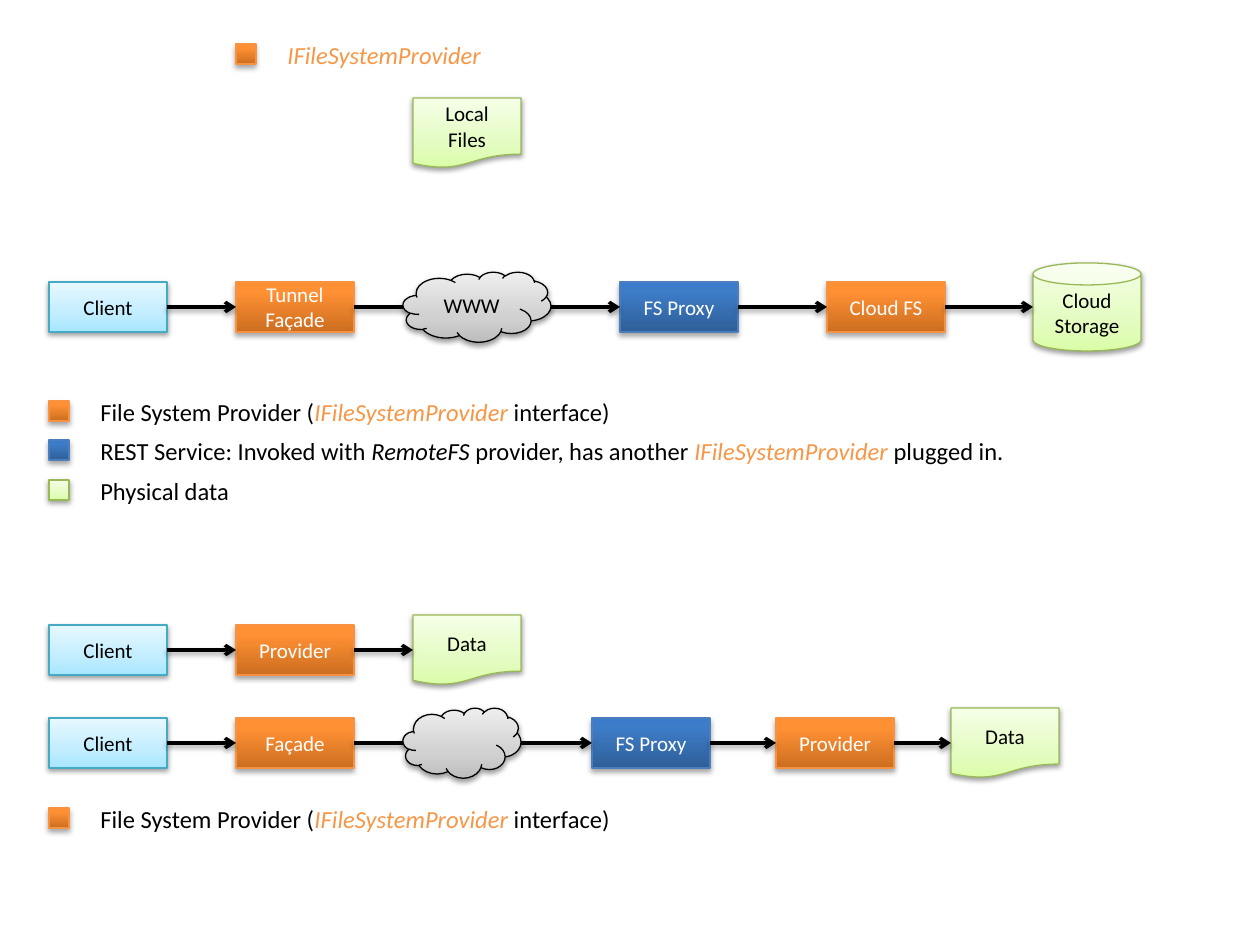
from dataclasses import dataclass
from itertools import pairwise

from lxml.etree import SubElement
from pptx import Presentation
from pptx.dml.color import RGBColor
from pptx.enum.shapes import MSO_CONNECTOR, MSO_SHAPE
from pptx.enum.text import MSO_ANCHOR, MSO_AUTO_SIZE, PP_ALIGN
from pptx.oxml.ns import qn
from pptx.util import Emu, Pt

EMU_PER_PX = 914400 / 126


@dataclass(frozen=True)
class Look:
    """Gradient stops, outline, text colour and shadow of one kind of node."""
    stops: tuple
    line: str
    text: str = "000000"
    shadow: tuple = (38, 1.6)


@dataclass(frozen=True)
class Theme:
    """Colours and type sizes of the slide."""
    font: str = "Calibri"
    node_size: int = 12
    note_size: int = 14
    ink: str = "000000"
    accent: str = "F79646"
    arrow_width: float = 2
    outline_width: float = 0.75
    shadow_blur: float = 3.1
    client: Look = Look(((0, "A7E6FF"), (35, "C1EDFF"), (100, "E7F8FF")), "46AAC5")
    data: Look = Look(((0, "DAFDA7"), (35, "E4FCC2"), (100, "F5FFE7")), "98B955")
    cloud: Look = Look(((0, "BDBDBD"), (35, "D1D1D1"), (100, "EEEEEE")), "000000")
    provider: Look = Look(((0, "CC6E20"), (80, "FF9034"), (100, "FF9136")),
                          "F69240", "FFFFFF", (35, 1.8))
    service: Look = Look(((0, "2F5F99"), (80, "3D7CC7"), (100, "3A7CCB")),
                         "4B7EBC", "FFFFFF", (35, 1.8))


THEME = Theme()


@dataclass(frozen=True)
class Node:
    """One step of a flow, centred on the line of its row."""
    x: int
    text: str
    look: Look
    shape: MSO_SHAPE = MSO_SHAPE.RECTANGLE
    w: int = 118
    h: int = 50


def document(x, text):
    """Describe a document-shaped data node."""
    return Node(x, text, THEME.data, MSO_SHAPE.FLOWCHART_DOCUMENT, 108, 70)


def cloud(text, w):
    """Describe a network cloud."""
    return Node(403, text, THEME.cloud, MSO_SHAPE.CLOUD, w, 70)


def px(*values):
    """Turn picture pixels into EMU."""
    return [Emu(round(v * EMU_PER_PX)) for v in values]


def add_colour(parent, colour, **attributes):
    """Append an RGB colour element."""
    return SubElement(parent, qn("a:srgbClr"), val=colour, **attributes)


def cast_shadow(shape, alpha, distance):
    """Give a shape or connector a soft shadow straight below it."""
    effects = SubElement(shape._element.spPr, qn("a:effectLst"))
    shadow = SubElement(effects, qn("a:outerShdw"), blurRad=str(Pt(THEME.shadow_blur)),
                        dist=str(Pt(distance)), dir="5400000", rotWithShape="0")
    SubElement(add_colour(shadow, "000000"), qn("a:alpha"), val=str(alpha * 1000))


def set_font(font, size, colour, italic=False):
    """Set the theme font with a size, colour and slant."""
    font.name, font.size, font.italic = THEME.font, Pt(size), italic
    font.color.rgb = RGBColor.from_string(colour)


def add_block(s, shape, look, x, y, w, h):
    """Draw a gradient shape with outline and shadow."""
    sp = s.shapes.add_shape(shape, *px(x, y, w, h))
    sp.fill.gradient()
    sp.fill.gradient_angle = 90
    stop_list = sp._element.spPr.find(qn("a:gradFill")).find(qn("a:gsLst"))
    for old in list(stop_list):
        stop_list.remove(old)
    for position, colour in look.stops:
        add_colour(SubElement(stop_list, qn("a:gs"), pos=str(position * 1000)), colour)
    sp.line.color.rgb = RGBColor.from_string(look.line)
    sp.line.width = Pt(THEME.outline_width)
    cast_shadow(sp, *look.shadow)
    return sp


def add_node(s, node, cy):
    """Draw a node with its centred label."""
    sp = add_block(s, node.shape, node.look, node.x, cy - node.h // 2, node.w, node.h)
    if node.text:
        tf = sp.text_frame
        tf.word_wrap = True
        tf.vertical_anchor = MSO_ANCHOR.MIDDLE
        p = tf.paragraphs[0]
        p.text, p.alignment = node.text, PP_ALIGN.CENTER
        set_font(p.font, THEME.node_size, node.look.text)


def add_arrow(s, x1, x2, y):
    """Draw a horizontal arrow."""
    line = s.shapes.add_connector(MSO_CONNECTOR.STRAIGHT, *px(x1, y, x2, y))
    line.line.color.rgb = RGBColor.from_string(THEME.ink)
    line.line.width = Pt(THEME.arrow_width)
    SubElement(line.line._get_or_add_ln(), qn("a:tailEnd"), type="arrow")
    cast_shadow(line, 38, 1.6)


def add_flow(s, cy, nodes, network=None):
    """Draw a row of nodes joined by arrows, with a cloud over the line."""
    for node in nodes:
        add_node(s, node, cy)
    for a, b in pairwise(nodes):
        add_arrow(s, a.x + a.w, b.x, cy)
    if network:
        add_node(s, network, cy)


def add_note(s, x, y, look, runs, w=542):
    """Draw a colour key with its explanation."""
    add_block(s, MSO_SHAPE.RECTANGLE, look, x, y + 10, 20, 20)
    tf = s.shapes.add_textbox(*px(x + 39, y, w, 43)).text_frame
    tf.word_wrap = True
    tf.auto_size = MSO_AUTO_SIZE.SHAPE_TO_FIT_TEXT
    p = tf.paragraphs[0]
    for text, colour, italic in runs:
        r = p.add_run()
        r.text = text
        set_font(r.font, THEME.note_size, colour, italic)


def plain(text):
    """Describe an upright run."""
    return text, THEME.ink, False


def main():
    """Build and save the slide."""
    prs = Presentation()
    prs.slide_width, prs.slide_height = px(1260, 945)
    s = prs.slides.add_slide(prs.slide_layouts[6])

    client = Node(49, "Client", THEME.client)
    interface = ("IFileSystemProvider", THEME.accent, True)
    provider_note = [plain("File System Provider ("), interface, plain(" interface)")]

    add_note(s, 236, 34, THEME.provider, [interface])
    add_node(s, document(413, "Local Files"), 133)
    add_flow(s, 307, [
        client,
        Node(236, "Tunnel Façade", THEME.provider),
        Node(620, "FS Proxy", THEME.service),
        Node(827, "Cloud FS", THEME.provider),
        Node(1033, "Cloud Storage", THEME.data, MSO_SHAPE.CAN, 108, 88),
    ], cloud("WWW", 148))

    add_note(s, 49, 391, THEME.provider, provider_note)
    add_note(s, 49, 430, THEME.service, [
        plain("REST Service: Invoked with "), ("RemoteFS", THEME.ink, True),
        plain(" provider, has another "), interface, plain(" plugged in."),
    ], w=1063)
    add_note(s, 49, 470, THEME.data, [plain("Physical data")])

    add_flow(s, 650, [client, Node(236, "Provider", THEME.provider),
                      document(413, "Data")])
    add_flow(s, 743, [
        client,
        Node(236, "Façade", THEME.provider),
        Node(592, "FS Proxy", THEME.service),
        Node(776, "Provider", THEME.provider),
        document(951, "Data"),
    ], cloud("", 118))
    add_note(s, 49, 798, THEME.provider, provider_note)
    prs.save("out.pptx")


main()
